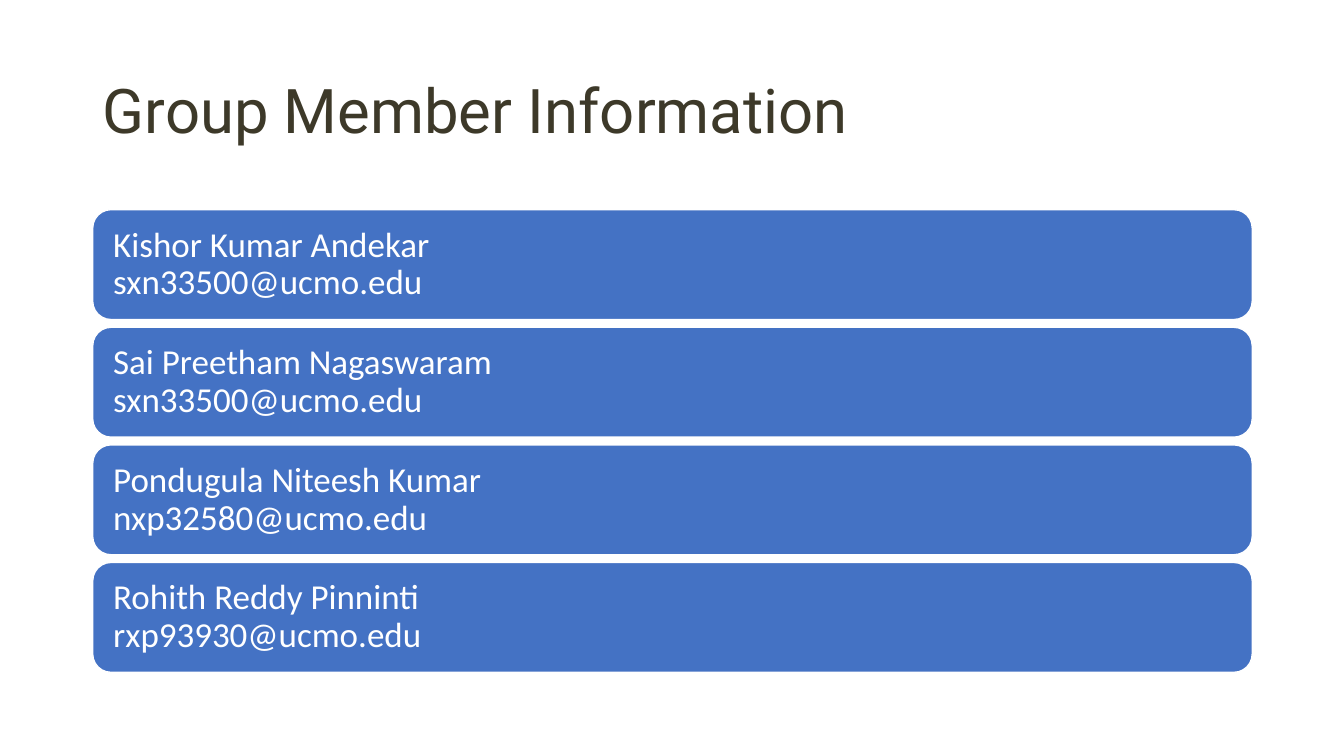
import pptx
import pptx.util
import pptx.dml.color
import pptx.enum.shapes
import pptx.enum.text

Inches = pptx.util.Inches
Pt = pptx.util.Pt

MEMBERS = [
    ("Kishor Kumar Andekar", "sxn33500@ucmo.edu"),
    ("Sai Preetham Nagaswaram", "sxn33500@ucmo.edu"),
    ("Pondugula Niteesh Kumar", "nxp32580@ucmo.edu"),
    ("Rohith Reddy Pinninti", "rxp93930@ucmo.edu"),
]
TITLE_FONT = {"name": "Roboto", "size": Pt(44)}
CARD_FONT = {"name": "Calibri", "size": Pt(25)}
TITLE_FRAME = {
    "word_wrap": True,
    "vertical_anchor": pptx.enum.text.MSO_ANCHOR.MIDDLE,
}
CARD_FRAME = {
    **TITLE_FRAME,
    "margin_left": Inches(0.15),
    "margin_right": Inches(0.15),
    "margin_top": Inches(0.15),
    "margin_bottom": Inches(0.15),
}
PARAGRAPH = {"alignment": pptx.enum.text.PP_ALIGN.LEFT, "line_spacing": 0.9}


def color(value):
    return pptx.dml.color.RGBColor.from_string(value)


def apply(target, values):
    for name, value in values.items():
        setattr(target, name, value)


def place(shape, box):
    sides = ("left", "top", "width", "height")
    apply(shape, {side: Inches(length) for side, length in zip(sides, box)})


def write(shape, lines, frame_format, font_format, font_color):
    frame = shape.text_frame
    apply(frame, frame_format)
    para = frame.paragraphs[0]
    apply(para, PARAGRAPH)
    for index, line in enumerate(lines):
        if index:
            para.add_line_break()
        span = para.add_run()
        span.text = line
        apply(span.font, font_format)
        span.font.color.rgb = color(font_color)


def add_title(page, box):
    title = page.shapes.title
    place(title, box)
    write(title, ["Group Member Information"], TITLE_FRAME, TITLE_FONT, "3D3929")


def add_member_cards(page, box, card_height):
    left, top, width, height = box
    step = (height - card_height) / (len(MEMBERS) - 1)
    for index, member in enumerate(MEMBERS):
        card = page.shapes.add_shape(
            pptx.enum.shapes.MSO_SHAPE.ROUNDED_RECTANGLE,
            Inches(left), Inches(top + index * step),
            Inches(width), Inches(card_height),
        )
        card.shadow.inherit = False
        card.fill.solid()
        card.fill.fore_color.rgb = color("4472C4")
        card.line.color.rgb = color("FFFFFF")
        card.line.width = Pt(1)
        write(card, member, CARD_FRAME, CARD_FONT, "FFFFFF")


def main():
    deck = pptx.Presentation()
    deck.slide_width = Inches(13.33)
    deck.slide_height = Inches(7.5)
    page = deck.slides.add_slide(deck.slide_layouts[5])
    add_title(page, (0.92, 0.4, 11.5, 1.45))
    add_member_cards(page, (0.92, 2.08, 11.5, 4.59), 1.09)
    deck.save("out.pptx")


if __name__ == "__main__":
    main()
